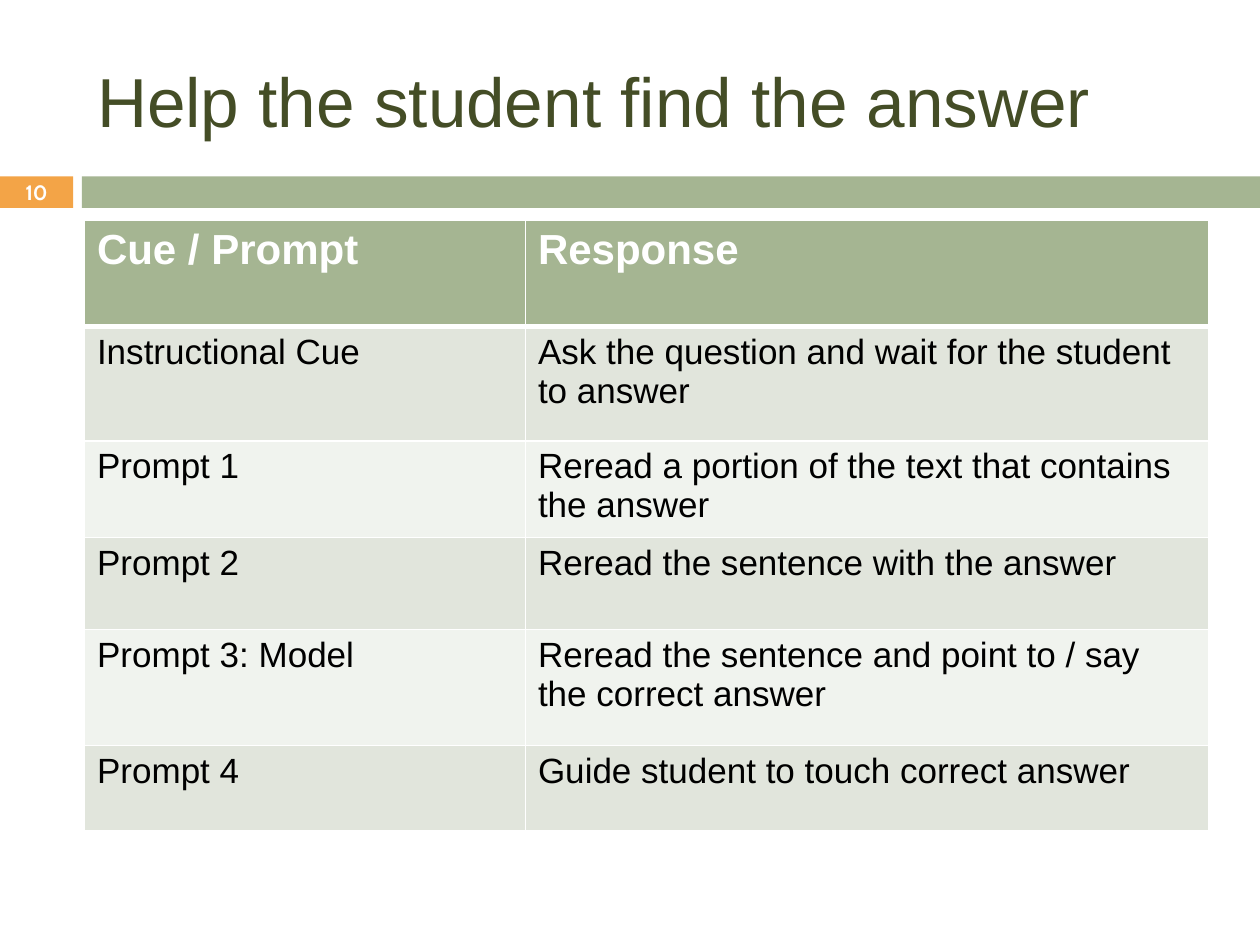
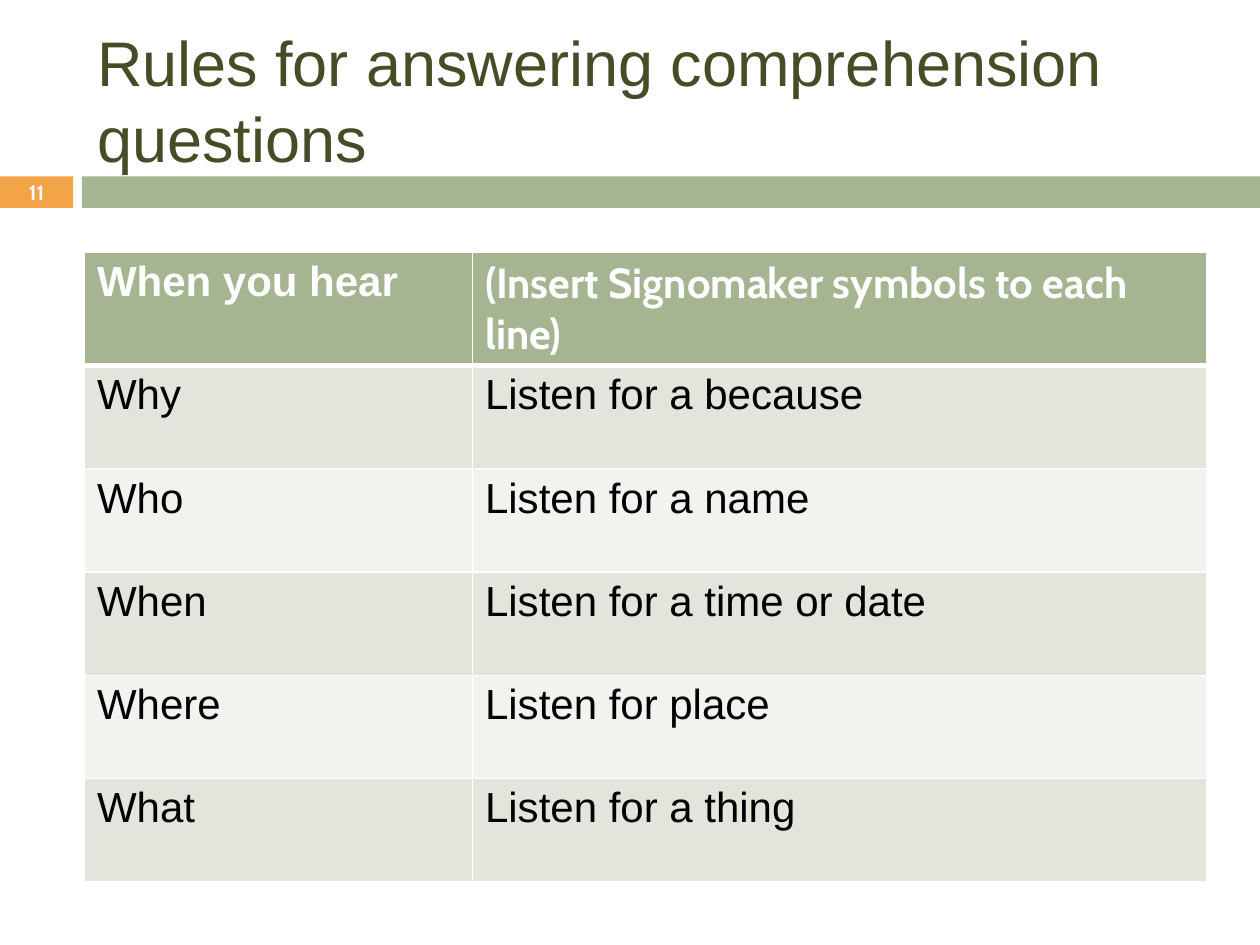
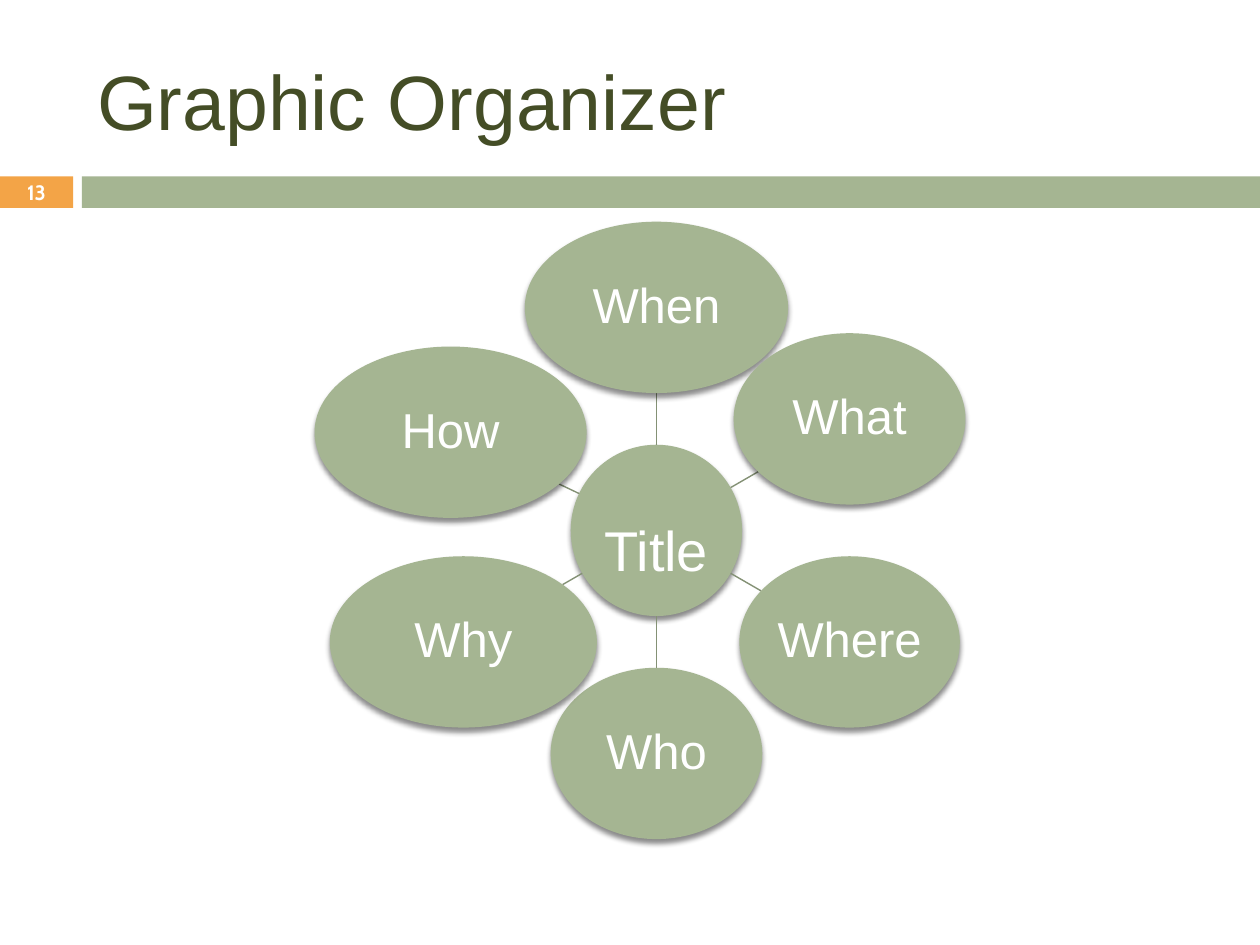
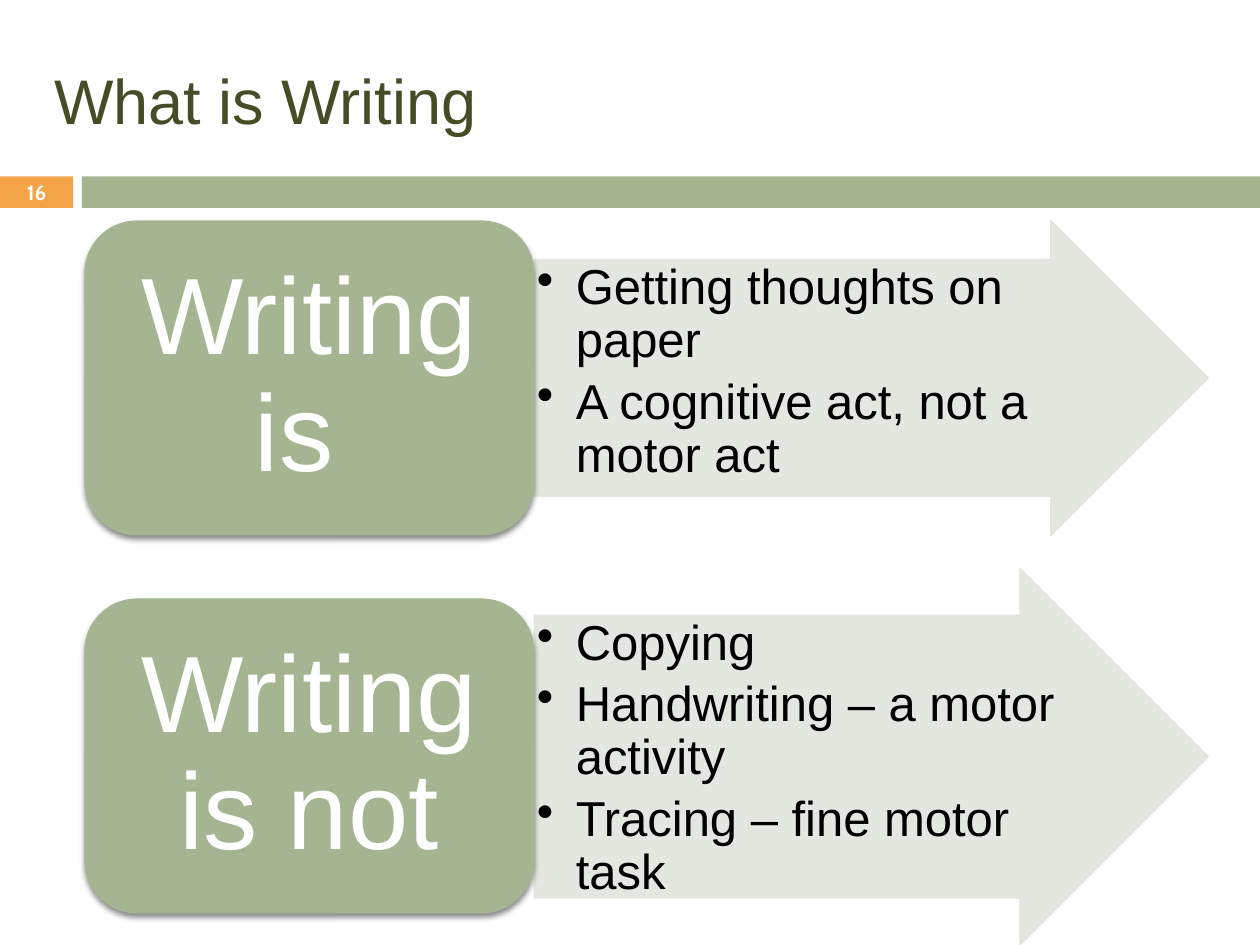
from math import cos, hypot, radians, sin

from lxml.etree import SubElement as Sub
from pptx import Presentation
from pptx.dml.color import RGBColor as RGB
from pptx.enum.shapes import MSO_CONNECTOR as LINK, MSO_SHAPE as KIND
from pptx.enum.text import MSO_ANCHOR as ANCHOR, MSO_AUTO_SIZE as FIT, PP_ALIGN as ALIGN
from pptx.oxml.ns import qn
from pptx.util import Inches, Pt

GREEN = RGB(0xA5, 0xB5, 0x92)
ORANGE = RGB(0xF3, 0xA4, 0x47)
OLIVE = RGB(0x44, 0x4D, 0x26)
MOSS = RGB(0x84, 0x91, 0x75)
SAGE = RGB(0xE1, 0xE5, 0xDC)
PALE = RGB(0xF0, 0xF3, 0xEE)
WHITE = RGB(0xFF, 0xFF, 0xFF)
BLACK = RGB(0, 0, 0)
SANS, CABIN = "Arial", "Cabin"


def style(para, size, color, name=SANS, bold=False):
    font = para.font
    font.size, font.name, font.bold = Pt(size), name, bold
    font.color.rgb = color


def badge(slide, kind, box, text, size, pad):
    """Add a green shape with a soft shadow and a centred white label."""
    shape = slide.shapes.add_shape(kind, *map(Inches, box))
    shape.fill.solid()
    shape.fill.fore_color.rgb = GREEN
    shape.line.fill.background()
    shape.shadow.inherit = False
    glow = Sub(shape.element.spPr.find(qn("a:effectLst")), qn("a:outerShdw"),
               blurRad=str(Pt(3)), dist=str(Pt(2.4)), dir="5400000", rotWithShape="0")
    tint = Sub(glow, qn("a:srgbClr"), val=str(BLACK))
    Sub(tint, qn("a:alpha"), val="45000")
    frame = shape.text_frame
    frame.word_wrap = True
    frame.vertical_anchor = ANCHOR.MIDDLE
    frame.margin_left = frame.margin_right = Inches(pad[0])
    frame.margin_top = frame.margin_bottom = Inches(pad[1])
    para = frame.paragraphs[0]
    para.text, para.alignment, para.line_spacing = text, ALIGN.CENTER, 0.9
    style(para, size, WHITE)
    return shape


deck = Presentation()
deck.slide_width, deck.slide_height = Inches(10), Inches(7.5)
layout = deck.slide_layouts[5]

# Titles and page numbers
heads = [
    ("Help the student find the answer", 39.6, "10", 0.67),
    ("Rules for answering comprehension questions", 36, "11", 0.67),
    ("Graphic Organizer", 44, "13", 0.67),
    ("What is Writing", 36, "16", 0.33),
]
slides = []
for text, size, page, left in heads:
    slide = deck.slides.add_slide(layout)
    slides.append(slide)
    title = slide.shapes.title
    title.left, title.top = Inches(left), Inches(0.25)
    title.width, title.height = Inches(9.59 - left), Inches(1.08)
    frame = title.text_frame
    frame.text = text
    frame.auto_size, frame.vertical_anchor = FIT.NONE, ANCHOR.MIDDLE
    frame.paragraphs[0].alignment = ALIGN.LEFT
    style(frame.paragraphs[0], size, OLIVE)

    label = slide.shapes.add_textbox(0, Inches(1.39), Inches(0.58), Inches(0.27))
    frame = label.text_frame
    frame.word_wrap, frame.vertical_anchor = True, ANCHOR.MIDDLE
    frame.margin_top = frame.margin_bottom = 0
    frame.text = page
    frame.paragraphs[0].alignment = ALIGN.CENTER
    style(frame.paragraphs[0], 11.9, WHITE, CABIN, True)

# Bands shared through the layout
for num, (left, width, color) in enumerate([(0, 0.58, ORANGE), (0.65, 9.35, GREEN)], 20):
    band = slides[0].shapes.add_shape(
        KIND.RECTANGLE, Inches(left), Inches(1.4), Inches(width), Inches(0.25))
    band.fill.solid()
    band.fill.fore_color.rgb = color
    band.line.fill.background()
    band.shadow.inherit = False
    band.element.nvSpPr.cNvPr.id = num
    layout.shapes.element.append(band.element)

# Tables: slide, top, column widths, row heights, body size, rows
prompts = [
    ("Cue / Prompt", "Response"),
    ("Instructional Cue", "Ask the question and wait for the student to answer"),
    ("Prompt 1", "Reread a portion of the text that contains the answer"),
    ("Prompt 2", "Reread the sentence with the answer"),
    ("Prompt 3: Model", "Reread the sentence and point to / say the correct answer"),
    ("Prompt 4", "Guide student to touch correct answer"),
]
rules = [
    ("When you hear", "(Insert Signomaker symbols to each line)"),
    ("Why", "Listen for a because"),
    ("Who", "Listen for a name"),
    ("When", "Listen for a time or date"),
    ("Where", "Listen for place"),
    ("What", "Listen for a thing"),
]
grids = [
    (slides[0], 1.75, (3.5, 5.42), (0.84, 0.91, 0.73, 0.73, 0.92, 0.68), 20, prompts),
    (slides[1], 2, (3.08, 5.83), (0.82,) * 6, 24, rules),
]
for slide, top, widths, tall, size, rows in grids:
    table = slide.shapes.add_table(
        len(rows), 2, Inches(0.67), Inches(top),
        Inches(sum(widths)), Inches(sum(tall))).table
    for col, width in zip(table.columns, widths):
        col.width = Inches(width)
    for r, row in enumerate(rows):
        table.rows[r].height = Inches(tall[r])
        for c, text in enumerate(row):
            cell = table.cell(r, c)
            props = cell._tc.get_or_add_tcPr()
            for side in "LRTB":
                thick = (r, side) in ((0, "B"), (1, "T"))
                edge = Sub(props, qn("a:ln" + side), w=str(Pt(3 if thick else 1)))
                Sub(Sub(edge, qn("a:solidFill")), qn("a:srgbClr"), val=str(WHITE))
            cell.fill.solid()
            cell.fill.fore_color.rgb = GREEN if r == 0 else SAGE if r % 2 else PALE
            cell.text = text
            para = cell.text_frame.paragraphs[0]
            if r == 0:
                name = CABIN if text.startswith("(") else SANS
                style(para, 24, WHITE, name, True)
            else:
                style(para, size, BLACK)

# Organizer: label, angle, distance from the hub, width
slide = slides[2]
hub_x, hub_y, tall = 5.21, 4.21, 1.36
half = tall / 2
hub = badge(slide, KIND.OVAL, (hub_x - half, hub_y - half, tall, tall),
            "Title", 32, (0.02, 0.02))
hub.text_frame.margin_top = Inches(0.38)
petals = [
    ("When", -90, 1.77, 2.09), ("What", -30, 1.77, 1.84), ("Where", 30, 1.77, 1.75),
    ("Who", 90, 1.77, 1.68), ("Why", 150, 1.77, 2.12), ("How", 205.5, 1.81, 2.16),
]
for text, angle, reach, width in petals:
    dx, dy = cos(radians(angle)), sin(radians(angle))
    end = reach - 1 / hypot(dx / (width / 2), dy / half)
    spoke = slide.shapes.add_connector(
        LINK.STRAIGHT,
        Inches(hub_x + half * dx), Inches(hub_y + half * dy),
        Inches(hub_x + end * dx), Inches(hub_y + end * dy))
    spoke.line.color.rgb, spoke.line.width = MOSS, Pt(0.79)
    Sub(spoke.element.spPr, qn("a:effectLst"))
    box = (hub_x + reach * dx - width / 2, hub_y + reach * dy - half, width, tall)
    badge(slide, KIND.OVAL, box, text, 28, (0.02, 0.02))

# Writing: label, box top, arrow top, arrow height, points
slide = slides[3]
sides = [
    ("Writing is ", 1.75, 1.75, 2.5,
     ["Getting thoughts on paper", "A cognitive act, not a motor act"]),
    ("Writing is not", 4.75, 4.51, 2.99,
     ["Copying", "Handwriting – a motor activity", "Tracing – fine motor task"]),
]
for text, top, peak, tall, points in sides:
    arrow = slide.shapes.add_shape(
        KIND.RIGHT_ARROW, Inches(4.24), Inches(peak), Inches(5.35), Inches(tall))
    arrow.adjustments[0], arrow.adjustments[1] = 0.75, 0.5
    arrow.shadow.inherit = False
    arrow.fill.solid()
    arrow.fill.fore_color.rgb = SAGE
    arrow.line.color.rgb, arrow.line.width = SAGE, Pt(0.79)
    for tint in arrow.element.spPr.iter(qn("a:srgbClr")):
        Sub(tint, qn("a:alpha"), val="90000")
    frame = arrow.text_frame
    frame.word_wrap, frame.vertical_anchor = True, ANCHOR.TOP
    frame.margin_left = frame.margin_right = Inches(0.02)
    frame.margin_top = frame.margin_bottom = Inches(0.02)
    frame.text = "\n".join(points)
    for para in frame.paragraphs:
        props = para._p.get_or_add_pPr()
        props.set("marL", str(Inches(0.31)))
        props.set("indent", str(Inches(-0.31)))
        Sub(props, qn("a:buChar"), char="•")
        para.alignment, para.line_spacing, para.space_after = ALIGN.LEFT, 0.9, Pt(5)
        style(para, 28, BLACK)
    badge(slide, KIND.ROUNDED_RECTANGLE, (0.67, top, 3.57, 2.5), text, 62, (0.26, 0.13))

deck.save("out.pptx")
